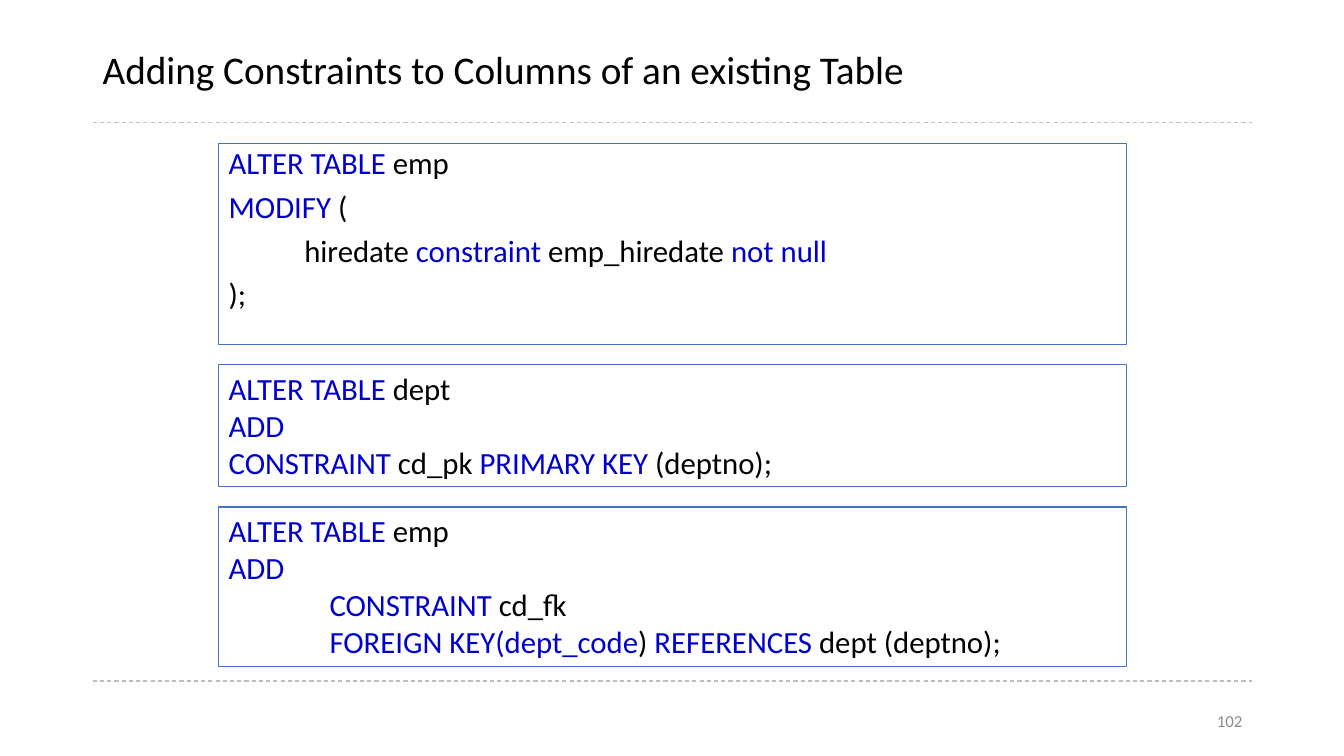
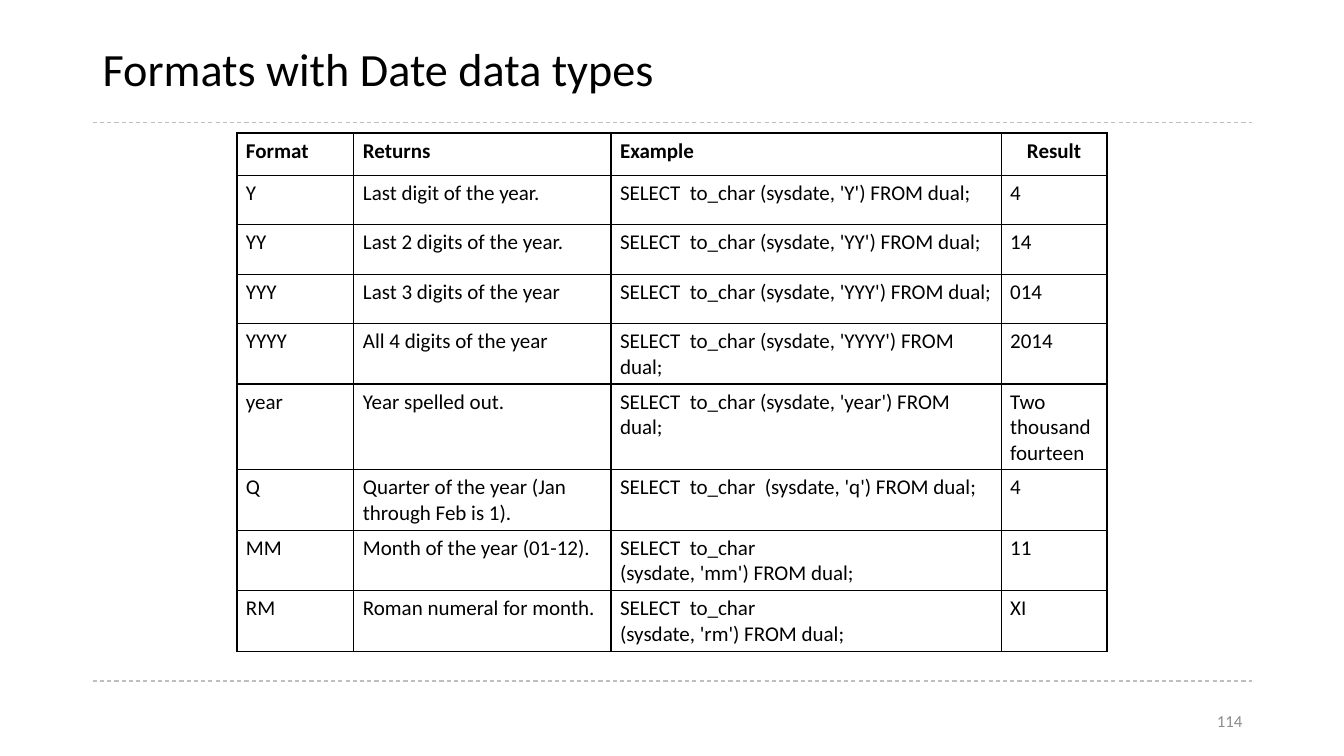
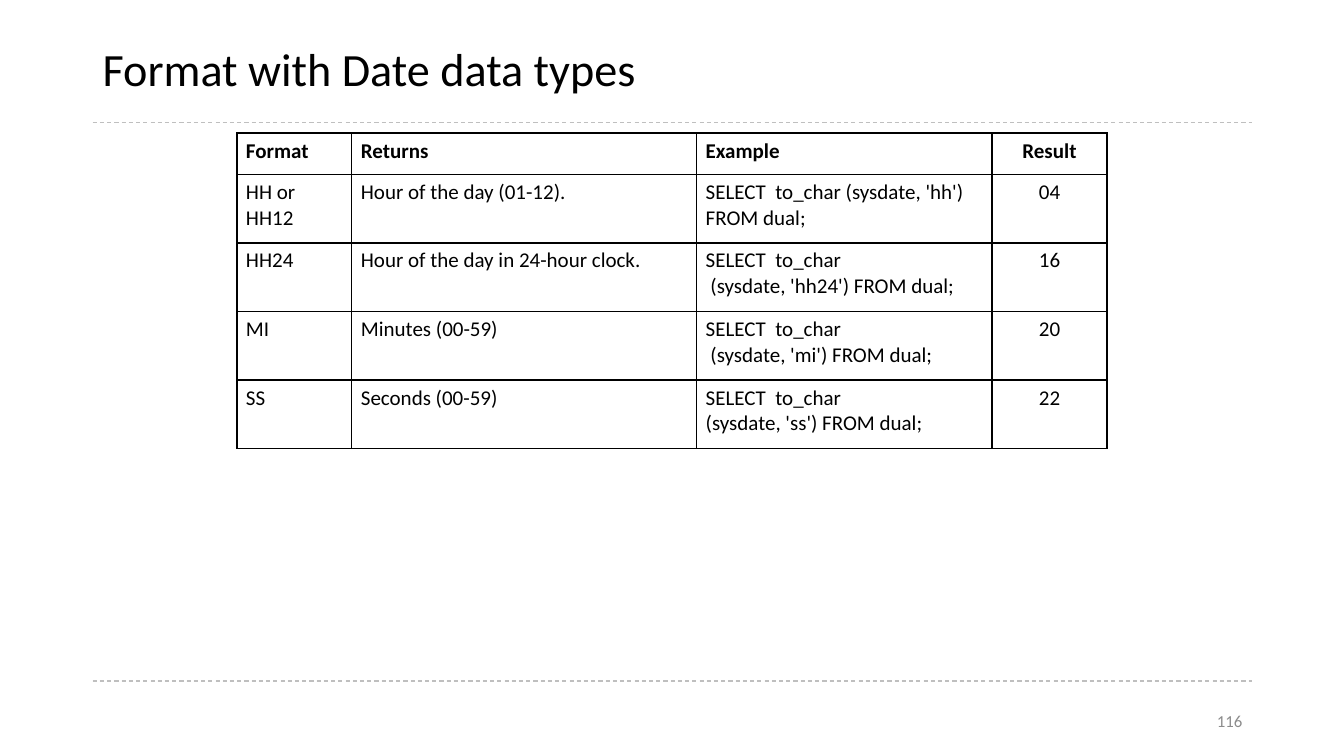
import pptx
import pptx.util
import pptx.dml.color
import pptx.enum.dml
import pptx.enum.shapes
import pptx.enum.text
import pptx.oxml
import pptx.oxml.ns
from pptx.util import Inches, Pt

FONT = "Calibri"
BLACK = "000000"
KEYWORD = "0000CC"
BOX_LINE = "4472C4"
RULE = "BFBFBF"
PAGE_NUMBER = "8C8C8C"

LEFT, WIDTH = 0.92, 11.5
RULE_TOPS = (1.22, 6.75, 6.76)

ALIGN = pptx.enum.text.PP_ALIGN
ANCHOR = pptx.enum.text.MSO_ANCHOR


def rgb(value):
    return pptx.dml.color.RGBColor.from_string(value)


def style(p, size, color=None, bold=False, align=ALIGN.LEFT):
    p.alignment = align
    p.font.name = FONT
    p.font.size = Pt(size)
    p.font.bold = bold
    if color:
        p.font.color.rgb = rgb(color)


def add_label(s, box, text, size, color, align=ALIGN.LEFT, spacing=1.0):
    tf = s.shapes.add_textbox(*map(Inches, box)).text_frame
    tf.word_wrap = True
    tf.vertical_anchor = ANCHOR.MIDDLE
    p = tf.paragraphs[0]
    p.text = text
    p.line_spacing = spacing
    style(p, size, color, align=align)


def add_rule(s, top):
    line = s.shapes.add_connector(
        pptx.enum.shapes.MSO_CONNECTOR.STRAIGHT,
        Inches(LEFT), Inches(top), Inches(LEFT + WIDTH), Inches(top))
    line.line.color.rgb = rgb(RULE)
    line.line.width = Pt(0.75)
    line.line.dash_style = pptx.enum.dml.MSO_LINE.DASH
    line._element.spPr.append(pptx.oxml.parse_xml(
        f'<a:effectLst {pptx.oxml.ns.nsdecls("a")}/>'))


def add_frame(prs, title, number, title_size=33):
    """Add a slide with its title, dashed rules and page number."""
    s = prs.slides.add_slide(prs.slide_layouts[6])
    for top in RULE_TOPS:
        add_rule(s, top)
    add_label(s, (LEFT, 0.21, WIDTH, 1), title, title_size, BLACK, spacing=0.9)
    add_label(s, (LEFT + WIDTH - 3, 6.95, 3, 0.4), str(number), 12,
              PAGE_NUMBER, ALIGN.RIGHT)
    return s


def add_code_box(s, box, lines, indent, line_spacing, space_before):
    """Draw framed SQL; *stars* enclose keywords and a leading > indents."""
    sp = s.shapes.add_shape(pptx.enum.shapes.MSO_SHAPE.RECTANGLE,
                            *map(Inches, box))
    sp.shadow.inherit = False
    sp.fill.background()
    sp.line.color.rgb = rgb(BOX_LINE)
    sp.line.width = Pt(0.75)
    tf = sp.text_frame
    tf.word_wrap = True
    tf.vertical_anchor = ANCHOR.TOP
    for i, line in enumerate(lines):
        p = tf.add_paragraph() if i else tf.paragraphs[0]
        p.line_spacing = line_spacing
        p.space_before = Pt(space_before if i else 0)
        if line.startswith(">"):
            pPr = p._p.get_or_add_pPr()
            pPr.set("marL", str(Inches(indent)))
            pPr.set("indent", "0")
        style(p, 22)
        for j, part in enumerate(line.lstrip(">").split("*")):
            if part:
                r = p.add_run()
                r.text = part
                r.font.color.rgb = rgb(KEYWORD if j % 2 else BLACK)


def add_borders(cell):
    tcPr = cell._tc.get_or_add_tcPr()
    for side in ("lnL", "lnR", "lnT", "lnB"):
        tcPr.append(pptx.oxml.parse_xml(
            f'<a:{side} {pptx.oxml.ns.nsdecls("a")} w="{Pt(1)}"><a:solidFill>'
            f'<a:srgbClr val="{BLACK}"/></a:solidFill></a:{side}>'))


def add_format_table(s, left, top, widths, header_height, row_height, rows,
                     result_align):
    """Add the grid of date formats; cells split into paragraphs at newlines."""
    rows = [("Format", "Returns", "Example", "Result"), *rows]
    heights = [header_height] + [row_height] * (len(rows) - 1)
    table = s.shapes.add_table(
        len(rows), len(widths), Inches(left), Inches(top),
        Inches(sum(widths)), Inches(sum(heights))).table
    table.first_row = table.horz_banding = False
    for column, width in zip(table.columns, widths):
        column.width = Inches(width)
    for i, (values, height) in enumerate(zip(rows, heights)):
        table.rows[i].height = Inches(height)
        for j, value in enumerate(values):
            cell = table.cell(i, j)
            add_borders(cell)
            cell.fill.background()
            cell.margin_left = cell.margin_right = Inches(0.09)
            cell.text = value
            align = ALIGN.LEFT
            if j == len(values) - 1:
                align = result_align if i else ALIGN.CENTER
            for p in cell.text_frame.paragraphs:
                style(p, 15, BLACK, bold=i == 0, align=align)


def constraints_slide(prs):
    s = add_frame(prs, "Adding Constraints to Columns of an existing Table",
                  102, title_size=28)
    boxes = [
        (2, 0.75, 0.9, 7.5, [
            "*ALTER TABLE* emp",
            "*MODIFY* (",
            ">hiredate *constraint *emp_hiredate *not null*",
            ");"]),
        (1.21, 0, 1.0, 0, [
            "*ALTER TABLE* dept",
            "*ADD*",
            "*CONSTRAINT *cd_pk *PRIMARY KEY* (deptno);"]),
        (1.58, 1, 1.0, 0, [
            "*ALTER TABLE* emp",
            "*ADD*",
            ">*CONSTRAINT *cd_fk",
            ">*FOREIGN KEY(dept_code*) *REFERENCES* dept (deptno);"]),
    ]
    top, gap = 1.42, 0.2
    for height, indent, line_spacing, space_before, lines in boxes:
        add_code_box(s, (2.17, top, 9, height), lines, indent, line_spacing,
                     space_before)
        top += height + gap


def year_formats_slide(prs):
    s = add_frame(prs, "Formats with Date data types", 114)
    add_format_table(s, 2.35, 1.32, (1.16, 2.55, 3.87, 1.05), 0.42, 0.49, [
        ("Y", "Last digit of the year.",
         "SELECT  to_char (sysdate, 'Y') FROM dual;", "4"),
        ("YY", "Last 2 digits of the year.",
         "SELECT  to_char (sysdate, 'YY') FROM dual;", "14"),
        ("YYY", "Last 3 digits of the year",
         "SELECT  to_char (sysdate, 'YYY') FROM dual;", "014"),
        ("YYYY", "All 4 digits of the year",
         "SELECT  to_char (sysdate, 'YYYY') FROM dual;", "2014"),
        ("year", "Year spelled out.",
         "SELECT  to_char (sysdate, 'year') FROM dual;",
         "Two thousand fourteen"),
        ("Q", "Quarter of the year (Jan through Feb is 1).",
         "SELECT  to_char  (sysdate, 'q') FROM dual;", "4"),
        ("MM", "Month of the year (01-12).",
         "SELECT  to_char\n(sysdate, 'mm') FROM dual;", "11"),
        ("RM", "Roman numeral for month.",
         "SELECT  to_char\n(sysdate, 'rm') FROM dual;", "XI"),
    ], ALIGN.LEFT)


def time_formats_slide(prs):
    s = add_frame(prs, "Format with Date data types", 116)
    add_format_table(s, 2.35, 1.32, (1.14, 3.42, 2.93, 1.14), 0.41, 0.68, [
        ("HH or HH12", "Hour of the day (01-12).",
         "SELECT  to_char (sysdate, 'hh') FROM dual;", "04"),
        ("HH24", "Hour of the day in 24-hour clock.",
         "SELECT  to_char\n (sysdate, 'hh24') FROM dual;", "16"),
        ("MI", "Minutes (00-59)",
         "SELECT  to_char\n (sysdate, 'mi') FROM dual;", "20"),
        ("SS", "Seconds (00-59)",
         "SELECT  to_char\n(sysdate, 'ss') FROM dual;", "22"),
    ], ALIGN.CENTER)


def main():
    prs = pptx.Presentation()
    prs.slide_width = Inches(13.33)
    prs.slide_height = Inches(7.5)
    constraints_slide(prs)
    year_formats_slide(prs)
    time_formats_slide(prs)
    prs.save("out.pptx")


if __name__ == "__main__":
    main()
